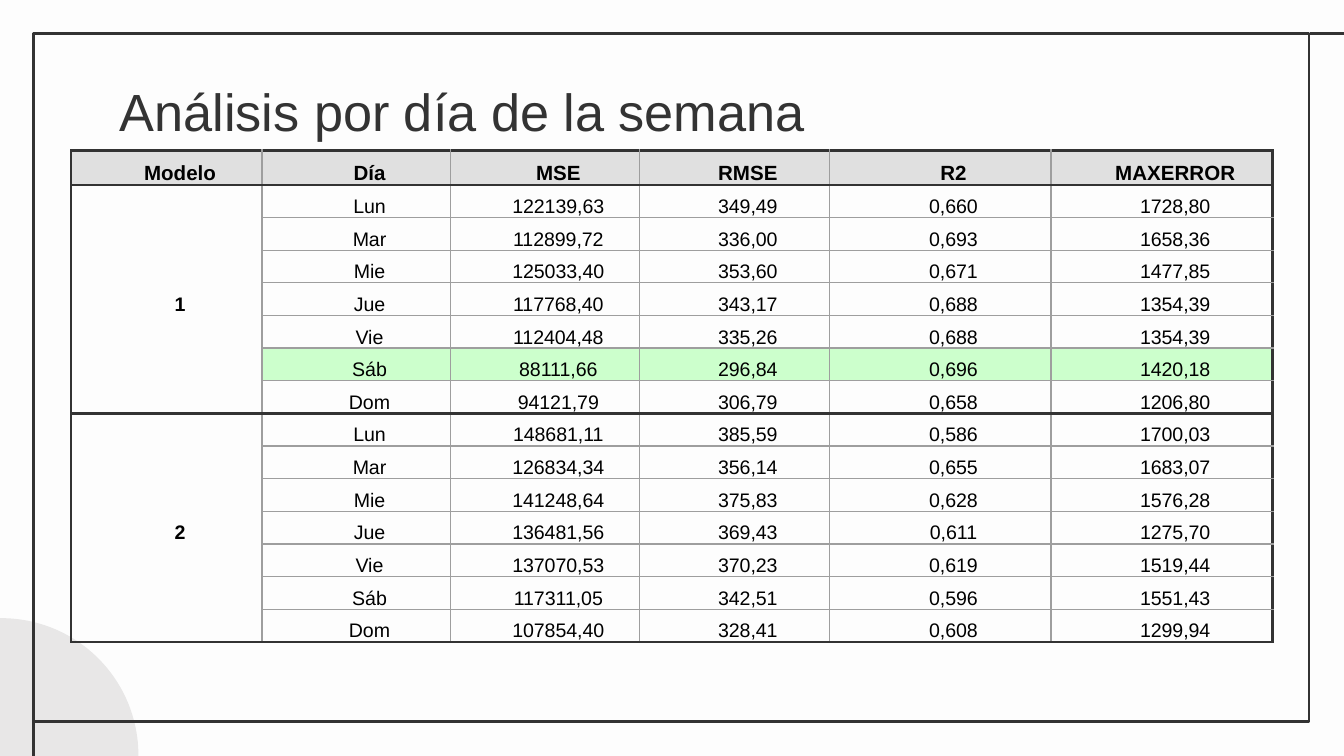
from lxml.etree import SubElement
from pptx import Presentation
from pptx.dml.color import RGBColor
from pptx.enum.shapes import MSO_CONNECTOR as CONNECTOR, MSO_SHAPE as SHAPE
from pptx.enum.text import MSO_ANCHOR as ANCHOR, MSO_AUTO_SIZE as AUTO_SIZE, PP_ALIGN as ALIGN
from pptx.oxml.ns import qn
from pptx.util import Inches, Pt

SLIDE_WIDTH = 10
SLIDE_HEIGHT = SLIDE_WIDTH * 9 / 16
DARK, GRID = "333333", "9E9E9E"
THICK, THIN = (DARK, 1.5), (GRID, 0.75)
HEADER_FILL, BEST_FILL = "E0E0E0", "CCFFCC"
HEADERS = ["Modelo", "Día", "MSE", "RMSE", "R2", "MAXERROR"]
COLUMN_WIDTHS = [1.42, 1.4, 1.41, 1.41, 1.65, 1.65]
DAYS = ["Lun", "Mar", "Mie", "Jue", "Vie", "Sáb", "Dom"]
RESULTS = {
    "1": [
        ("122139,63", "349,49", "0,660", "1728,80"),
        ("112899,72", "336,00", "0,693", "1658,36"),
        ("125033,40", "353,60", "0,671", "1477,85"),
        ("117768,40", "343,17", "0,688", "1354,39"),
        ("112404,48", "335,26", "0,688", "1354,39"),
        ("88111,66", "296,84", "0,696", "1420,18"),
        ("94121,79", "306,79", "0,658", "1206,80"),
    ],
    "2": [
        ("148681,11", "385,59", "0,586", "1700,03"),
        ("126834,34", "356,14", "0,655", "1683,07"),
        ("141248,64", "375,83", "0,628", "1576,28"),
        ("136481,56", "369,43", "0,611", "1275,70"),
        ("137070,53", "370,23", "0,619", "1519,44"),
        ("117311,05", "342,51", "0,596", "1551,43"),
        ("107854,40", "328,41", "0,608", "1299,94"),
    ],
}
BEST = ("1", "Sáb")


def rgb(value):
    return RGBColor.from_string(value)


def apply(target, formats):
    for name, value in formats.items():
        setattr(target, name, value)


def style_line(line):
    line.color.rgb = rgb(DARK)
    line.width = Pt(1.5)


def add_corner_line(slide, start, end):
    corner = slide.shapes.add_connector(
        CONNECTOR.STRAIGHT, *(Inches(v) for v in (*start, *end)))
    style_line(corner.line)
    SubElement(corner.element.spPr, qn("a:effectLst"))


def add_frame(slide, left, top, width, height):
    """Corner disc, outlined frame and the two lines that run off the slide."""
    disc_size = 2.04
    disc = slide.shapes.add_shape(
        SHAPE.OVAL, Inches(left - 1.26), Inches(top + 4.35), Inches(disc_size), Inches(disc_size))
    disc.shadow.inherit = False
    disc.fill.solid()
    disc.fill.fore_color.rgb = rgb("E8E7E7")
    disc.line.fill.background()

    border = slide.shapes.add_shape(
        SHAPE.RECTANGLE, Inches(left), Inches(top), Inches(width), Inches(height))
    border.shadow.inherit = False
    border.fill.background()
    style_line(border.line)

    right, bottom, tail = left + width, top + height, 0.33
    add_corner_line(slide, (right + 0.01 + tail, top), (right + 0.01, top))
    add_corner_line(slide, (left, bottom - 0.02 + tail), (left, bottom - 0.02))


def set_title(slide, text, left, top, width, height):
    title = slide.shapes.title
    apply(title, {"left": Inches(left), "top": Inches(top),
                  "width": Inches(width), "height": Inches(height)})
    frame = title.text_frame
    frame.text = text
    apply(frame, {"word_wrap": True, "auto_size": AUTO_SIZE.NONE, "vertical_anchor": ANCHOR.TOP,
                  **{f"margin_{side}": Inches(0.1) for side in ("left", "top", "right", "bottom")}})
    paragraph = frame.paragraphs[0]
    paragraph.alignment = ALIGN.LEFT
    apply(paragraph.runs[0].font, {"name": "Arial", "size": Pt(28), "bold": False})
    paragraph.runs[0].font.color.rgb = rgb(DARK)


def set_borders(cell, **borders):
    properties = cell._tc.get_or_add_tcPr()
    for side in "LRTB":
        color, width = borders[side]
        line = SubElement(properties, qn(f"a:ln{side}"), w=str(Pt(width)))
        fill = SubElement(line, qn("a:solidFill"))
        SubElement(fill, qn("a:srgbClr"), val=color)


def format_cell(cell, text, size, bold, fill):
    apply(cell, {"margin_left": Inches(0.01), "margin_right": Inches(0.01),
                 "margin_top": 0, "margin_bottom": 0, "vertical_anchor": ANCHOR.MIDDLE})
    if fill:
        cell.fill.solid()
        cell.fill.fore_color.rgb = rgb(fill)
    else:
        cell.fill.background()
    paragraph = cell.text_frame.paragraphs[0]
    apply(paragraph, {"alignment": ALIGN.CENTER, "line_spacing": 1.5})
    indent = paragraph._p.get_or_add_pPr()
    indent.set("marL", "0")
    indent.set("indent", str(Inches(0.2)))
    apply(paragraph.font, {"name": "Arial", "size": Pt(size), "bold": bold})
    if text:
        run = paragraph.add_run()
        run.text = text
        apply(run.font, {"name": "Arial", "size": Pt(size), "bold": bold})
        run.font.color.rgb = rgb("000000")


def add_results_table(slide, left, top, width, height):
    rows = [(HEADERS, None)]
    for model, metrics in RESULTS.items():
        for day, values in zip(DAYS, metrics):
            label = model if day == DAYS[0] else ""
            rows.append(([label, day, *values], (model, day)))

    table_frame = slide.shapes.add_table(
        len(rows), len(HEADERS), Inches(left), Inches(top), Inches(width), Inches(height))
    table = table_frame.table
    apply(table, {"first_row": False, "horz_banding": False})
    for column, column_width in zip(table.columns, COLUMN_WIDTHS):
        column.width = Inches(column_width)
    for row in table.rows:
        row.height = Inches(0.12)
    apply(table_frame, {"width": Inches(width), "height": Inches(height)})

    week, last_column = len(DAYS), len(HEADERS) - 1
    for r, (texts, key) in enumerate(rows):
        header = r == 0
        for c, text in enumerate(texts):
            cell = table.cell(r, c)
            model_cell = c == 0
            set_borders(
                cell,
                L=THICK if model_cell else THIN,
                R=THICK if c == last_column else THIN,
                T=THICK if header or model_cell or r % week == 1 else THIN,
                B=THICK if model_cell or r % week == 0 else THIN)
            fill = HEADER_FILL if header else BEST_FILL if key == BEST and c else None
            format_cell(cell, text, 11 if header else 10.5, header or model_cell, fill)
    for first in range(1, len(rows), week):
        table.cell(first, 0).merge(table.cell(first + week - 1, 0))


def main():
    presentation = Presentation()
    apply(presentation, {"slide_width": Inches(SLIDE_WIDTH),
                         "slide_height": Inches(SLIDE_HEIGHT)})
    slide = presentation.slides.add_slide(presentation.slide_layouts[5])
    background = slide.background.fill
    background.solid()
    background.fore_color.rgb = rgb("FDFDFD")
    add_frame(slide, 0.25, 0.25, 9.49, 5.12)
    set_title(slide, "Análisis por día de la semana", 0.79, 0.49, 5.5, 0.63)
    add_results_table(slide, 0.53, 1.12, 8.93, 3.52)
    presentation.save("out.pptx")


if __name__ == "__main__":
    main()
